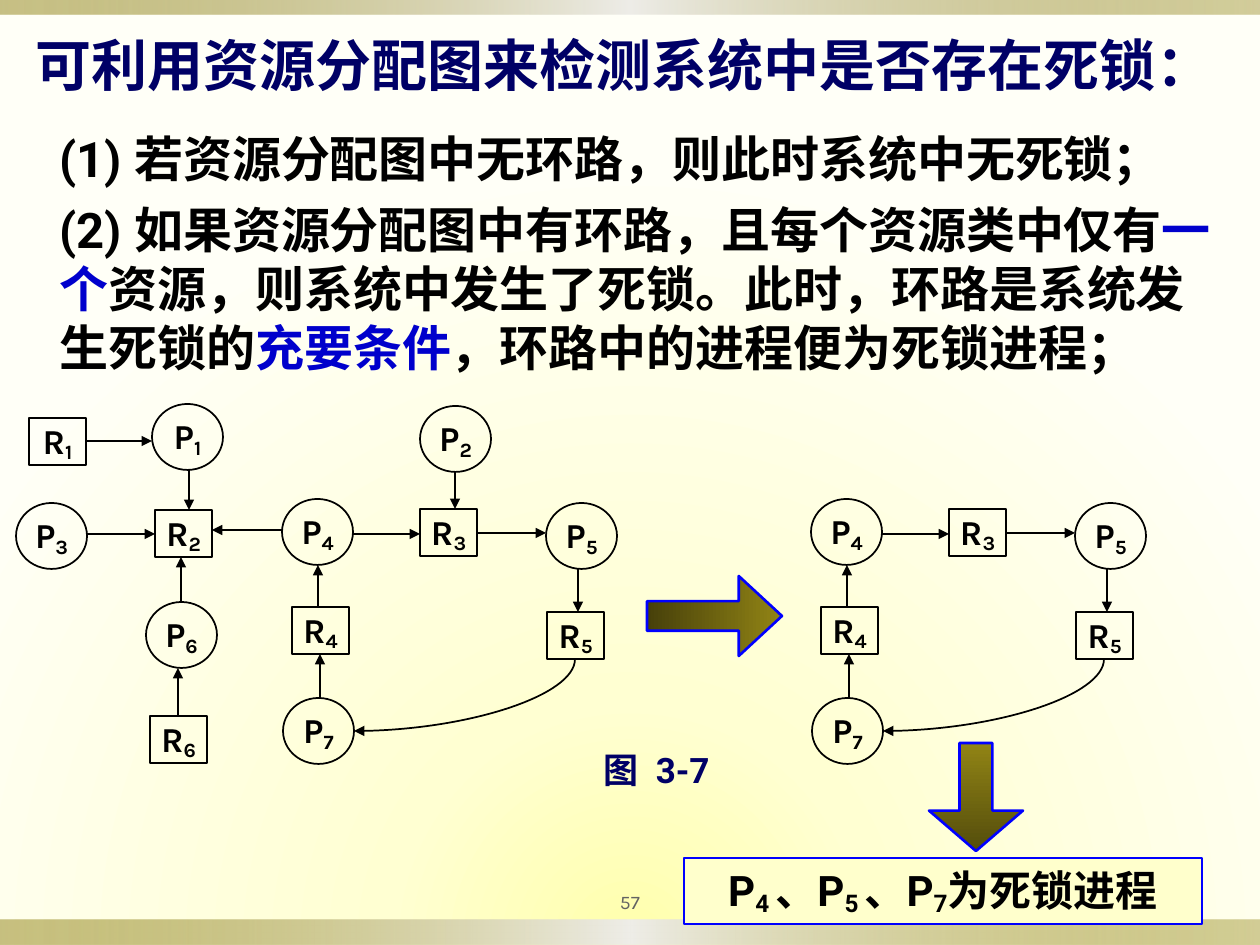
import pptx
import pptx.util
import pptx.dml.color
import pptx.enum.shapes
import pptx.enum.text
import pptx.oxml
import pptx.oxml.ns

RGB = pptx.dml.color.RGBColor
SHAPE = pptx.enum.shapes.MSO_SHAPE
LINK = pptx.enum.shapes.MSO_CONNECTOR
ALIGN = pptx.enum.text.PP_ALIGN
ANCHOR = pptx.enum.text.MSO_ANCHOR
qn = pptx.oxml.ns.qn

BLACK = RGB(0, 0, 0)
NAVY = RGB(0, 0, 0x66)
BLUE = RGB(0, 0, 0xCC)
EDGE_BLUE = RGB(0, 0, 0xFF)
GREY = RGB(0x63, 0x63, 0x63)
CREAM = RGB(0xFF, 0xFF, 0xCC)

# Gradient stops: position in %, colour, opacity in %
GLOW = [(0, RGB(0xFF, 0xFF, 0xAC), 100), (31, RGB(0xFF, 0xFF, 0xD2), 100),
        (100, RGB(0xFF, 0xFF, 0xF7), 100)]
OLIVE = RGB(0x91, 0x84, 0x15)
BAR = [(0, OLIVE, 50), (50, RGB(0xEE, 0xED, 0xE8), 100), (100, OLIVE, 40)]
DARK_TO_OLIVE = [(0, RGB(0x47, 0x40, 0x0A), 100), (100, OLIVE, 100)]
OLIVE_TO_DARK = [(0, OLIVE, 100), (100, RGB(0x54, 0x4D, 0x0C), 100)]

# Runs: text, colour, subscript
TITLE = [("可利用资源分配图来检测系统中是否存在死锁：", NAVY, False)]
BODY = [
    [("(1) 若资源分配图中无环路，则此时系统中无死锁；", BLACK, False)],
    [("(2) 如果资源分配图中有环路，且每个资源类中仅有", BLACK, False),
     ("一个", BLUE, False),
     ("资源，则系统中发生了死锁。此时，环路是系统发生死锁的", BLACK, False),
     ("充要条件", BLUE, False),
     ("，环路中的进程便为死锁进程；", BLACK, False)],
]
CAPTION = [("图  3-7", NAVY, False)]
RESULT = [("P", BLACK, False), ("4 ", BLACK, True), ("、P", BLACK, False),
          ("5 ", BLACK, True), ("、P", BLACK, False), ("7", BLACK, True),
          ("为死锁进程", BLACK, False)]

# Processes (P) are ellipses and resources (R) boxes: left, top
SIZES = {"P": (71, 66), "R": (57, 47)}
NODES = {
    "R1": (29, 418), "P1": (152, 404), "R2": (155, 510), "P2": (420, 406),
    "P3": (16, 503), "P4": (282, 499), "P5": (546, 503), "P6": (146, 602),
    "R3": (420, 509), "R4": (292, 607), "R5": (547, 612), "R6": (150, 716),
    "P7": (283, 698),
}
# Straight arrows: from, to, direction, the x or y they run along
EDGES = [
    ("R1", "P1", "h", 441), ("P1", "R2", "v", 189), ("P3", "R2", "h", 534),
    ("P6", "R2", "v", 181), ("P4", "R2", "h", 530), ("R4", "P4", "v", 318),
    ("P4", "R3", "h", 534), ("R6", "P6", "v", 178), ("P7", "R4", "v", 320),
    ("P2", "R3", "v", 455), ("R3", "P5", "h", 533), ("P5", "R5", "v", 578),
]
CYCLE = ["P4", "P5", "R3", "R4", "R5", "P7"]
CYCLE_SHIFT = 529


def px(n):
    return pptx.util.Emu(round(n * 914400 / 126))


def box(*lengths):
    return [px(n) for n in lengths]


def set_gradient(fill, owner, stops, shade):
    fill.gradient()
    old = next(owner.iter(qn("a:gradFill")))
    gs = "".join(
        f'<a:gs pos="{pos * 1000}"><a:srgbClr val="{color}">'
        f'<a:alpha val="{alpha * 1000}"/></a:srgbClr></a:gs>'
        for pos, color, alpha in stops)
    new = pptx.oxml.parse_xml(
        f'<a:gradFill {pptx.oxml.ns.nsdecls("a")} rotWithShape="1">'
        f'<a:gsLst>{gs}</a:gsLst>{shade}</a:gradFill>')
    old.getparent().replace(old, new)


def linear(degrees):
    return f'<a:lin ang="{degrees * 60000}" scaled="0"/>'


def add_runs(p, runs, size, font="Roboto", bold=True):
    for text, color, sub in runs:
        r = p.add_run()
        r.text = text
        r.font.size = pptx.util.Pt(size)
        r.font.bold = bold
        r.font.name = font
        r.font.color.rgb = color
        rPr = r._r.get_or_add_rPr()
        ea = rPr.makeelement(qn("a:ea"), {"typeface": font})
        rPr.find(qn("a:latin")).addnext(ea)
        if sub:
            rPr.set("baseline", "-16000")


def frame(sp, align=ALIGN.CENTER, anchor=ANCHOR.TOP, wrap=True):
    tf = sp.text_frame
    tf.word_wrap = wrap
    tf.auto_size = pptx.enum.text.MSO_AUTO_SIZE.NONE
    tf.vertical_anchor = anchor
    tf.paragraphs[0].alignment = align
    return tf


def place(sp, *lengths):
    sp.left, sp.top, sp.width, sp.height = box(*lengths)


def add_shape(shapes, kind, bounds, color=None, weight=1):
    sp = shapes.add_shape(kind, *box(*bounds))
    sp.shadow.inherit = False
    sp.fill.background()
    if color is None:
        sp.line.fill.background()
    else:
        sp.line.color.rgb = color
        sp.line.width = pptx.util.Pt(weight)
    return sp


def add_node(shapes, name, shift):
    x, y = NODES[name]
    kind = SHAPE.OVAL if name[0] == "P" else SHAPE.RECTANGLE
    sp = add_shape(shapes, kind, (x + shift, y, *SIZES[name[0]]), BLACK)
    tf = frame(sp, anchor=ANCHOR.MIDDLE, wrap=False)
    tf.margin_left = tf.margin_right = px(8)
    tf.margin_top = tf.margin_bottom = px(1)
    add_runs(tf.paragraphs[0], [(name[0], BLACK, False), (name[1], BLACK, True)],
             20, "Karla")


def add_arrow(shapes, kind, *ends):
    c = shapes.add_connector(kind, *box(*ends))
    c.line.color.rgb = BLACK
    c.line.width = pptx.util.Pt(1)
    ln = c.line._get_or_add_ln()
    ln.append(ln.makeelement(qn("a:tailEnd"), {"type": "triangle"}))
    spPr = c._element.spPr
    spPr.append(spPr.makeelement(qn("a:effectLst"), {}))
    return c


def add_edge(shapes, start, end, direction, at, shift):
    i = "hv".index(direction)
    a, b = NODES[start][i], NODES[end][i]
    if a < b:
        a += SIZES[start[0]][i]
    else:
        b += SIZES[end[0]][i]
    ends = (a + shift, at, b + shift, at) if i == 0 else (at + shift, a, at + shift, b)
    add_arrow(shapes, LINK.STRAIGHT, *ends)


def add_return_curve(shapes, shift):
    # From under R5 to the right side of P7: a quarter bend turned by 90 degrees
    x1, y1, x2, y2 = 575 + shift, 659, 354 + shift, 731
    cx, cy, w, h = (x1 + x2) / 2, (y1 + y2) / 2, y2 - y1, x1 - x2
    c = add_arrow(shapes, LINK.CURVE, cx - w / 2, cy - h / 2, cx + w / 2, cy + h / 2)
    spPr = c._element.spPr
    spPr.find(qn("a:xfrm")).set("rot", "5400000")
    spPr.find(qn("a:prstGeom")).set("prst", "curvedConnector2")


def add_graph(s, names, shift):
    shapes = s.shapes.add_group_shape().shapes
    for name in names:
        add_node(shapes, name, shift)
    for start, end, direction, at in EDGES:
        if start in names and end in names:
            add_edge(shapes, start, end, direction, at, shift)
    add_return_curve(shapes, shift)


def main():
    prs = pptx.Presentation()
    prs.slide_width, prs.slide_height = box(1260, 945)
    s = prs.slides.add_slide(prs.slide_layouts[1])

    # Background and edge bars
    set_gradient(s.background.fill, s._element, GLOW,
                 '<a:path path="circle"><a:fillToRect l="50000" t="150000" r="50000"/></a:path>')
    for top, height in ((920, 25), (0, 15)):
        sp = add_shape(s.shapes, SHAPE.RECTANGLE, (0, top, 1260, height))
        set_gradient(sp.fill, sp._element, BAR, linear(0))

    # Title and body
    title, body = s.placeholders
    place(title, 23, 24, 1237, 79)
    add_runs(frame(title, ALIGN.LEFT).paragraphs[0], TITLE, 32)
    place(body, 47, 122, 1184, 263)
    tf = frame(body, ALIGN.LEFT)
    for i, runs in enumerate(BODY):
        p = tf.add_paragraph() if i else tf.paragraphs[0]
        pPr = p._p.get_or_add_pPr()
        pPr.set("marL", "0")
        pPr.set("indent", "0")
        pPr.append(pPr.makeelement(qn("a:buNone"), {}))
        p.space_before = pptx.util.Pt(7 if i else 0)
        add_runs(p, runs, 28)

    # Full graph and the cycle left after reduction
    add_graph(s, list(NODES), 0)
    add_graph(s, CYCLE, CYCLE_SHIFT)

    # Block arrows
    for kind, bounds, adjust, stops, angle in (
            (SHAPE.RIGHT_ARROW, (647, 576, 135, 80), (0.37, 0.54), DARK_TO_OLIVE, 0),
            (SHAPE.DOWN_ARROW, (929, 743, 94, 108), (0.35, 0.43), OLIVE_TO_DARK, 90)):
        sp = add_shape(s.shapes, kind, bounds, EDGE_BLUE, 1.5)
        sp.adjustments[0], sp.adjustments[1] = adjust
        set_gradient(sp.fill, sp._element, stops, linear(angle))

    # Result box, caption and page number
    sp = add_shape(s.shapes, SHAPE.RECTANGLE, (684, 858, 518, 66), EDGE_BLUE, 1.5)
    sp.fill.solid()
    sp.fill.fore_color.rgb = CREAM
    add_runs(frame(sp).paragraphs[0], RESULT, 24)
    sp = s.shapes.add_textbox(*box(542, 742, 229, 54))
    add_runs(frame(sp).paragraphs[0], CAPTION, 20)
    sp = s.shapes.add_textbox(*box(567, 882, 126, 39))
    add_runs(frame(sp, anchor=ANCHOR.MIDDLE).paragraphs[0], [("57", GREY, False)],
             11, "Karla", False)

    prs.save("out.pptx")


if __name__ == "__main__":
    main()
